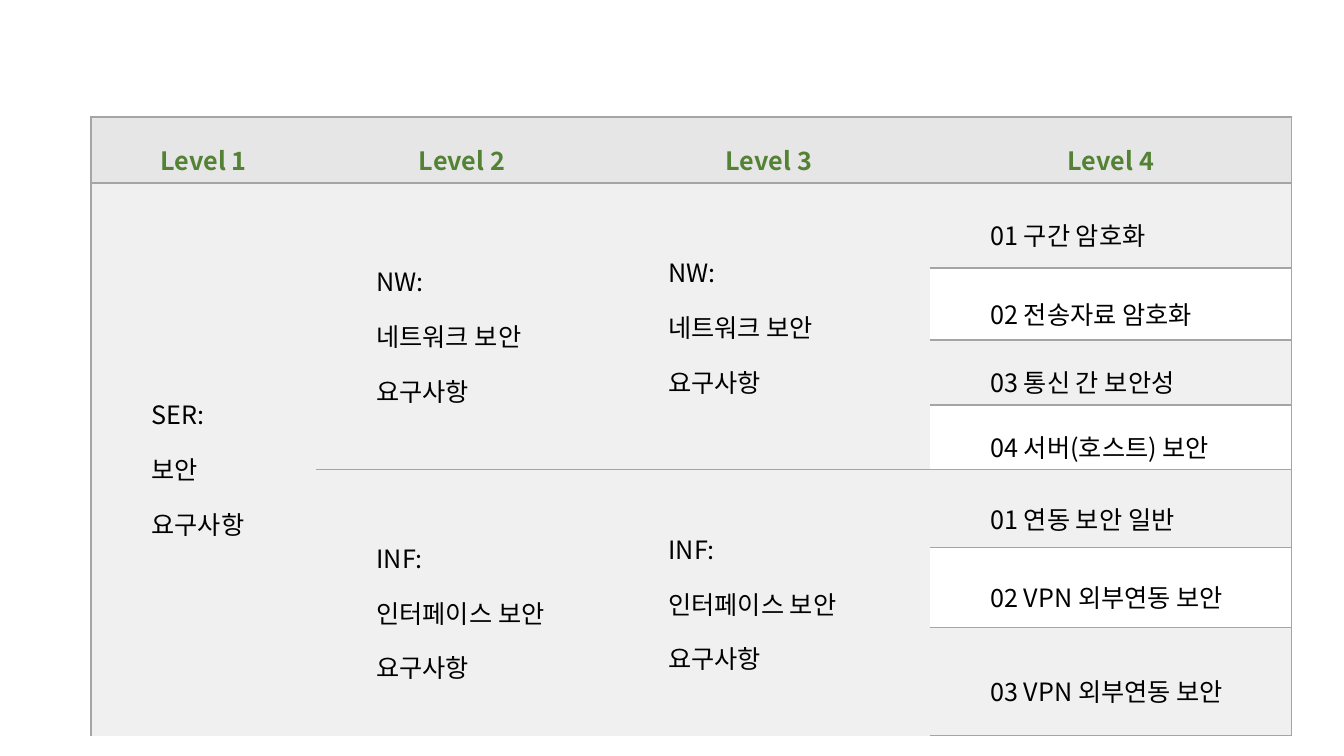
from pptx import Presentation, util as u
from pptx.dml.color import RGBColor
from pptx.enum import text
from pptx.oxml import ns
from lxml import etree

FONT = "Noto Sans CJK KR"
GREEN, BLACK, LINE = "548235", "000000", "A5A5A5"
HEAD, GREY, WHITE = "E7E6E6", "F0F0F0", "FFFFFF"

COLS = [225, 292, 322, 362]
ROWS = [66, 85, 72, 65, 65, 78, 80, 108]
NEED = "요구사항"
NET = ["NW:", "네트워크 보안", NEED]
INF = ["INF:", "인터페이스 보안", NEED]
# row, column, row span, lines, extra bottom margin
GROUPS = [
    (1, 0, 7, ["SER:", "보안", NEED], 0),
    (1, 1, 4, NET, 0),
    (1, 2, 4, NET, 18),
    (5, 1, 3, INF, 0),
    (5, 2, 3, INF, 18),
]
ITEMS = [
    "01 구간 암호화", "02 전송자료 암호화", "03 통신 간 보안성", "04 서버(호스트) 보안",
    "01 연동 보안 일반", "02 VPN 외부연동 보안", "03 VPN 외부연동 보안",
]
SHADES = [GREY, WHITE, GREY, WHITE, GREY, WHITE, GREY]


def px(n):
    return u.Emu(round(n * 914400 / 100.8))


def color(code):
    return RGBColor.from_string(code)


class Deck:
    def __init__(self, wide, high):
        self.prs = Presentation()
        self.prs.slide_width, self.prs.slide_height = px(wide), px(high)
        self.slide = self.prs.slides.add_slide(self.prs.slide_layouts[6])

    def table(self, left, top, cols, rows):
        frame = self.slide.shapes.add_table(
            len(rows), len(cols), px(left), px(top), px(sum(cols)), px(sum(rows)))
        grid = frame.table
        grid.first_row = grid.horz_banding = False
        for col, wide in zip(grid.columns, cols):
            col.width = px(wide)
        for row, high in zip(grid.rows, rows):
            row.height = px(high)
        return grid

    def edges(self, cell, sides):
        """Draw the sides named among L, R, T and B; clear the others."""
        props = cell._tc.get_or_add_tcPr()
        for side in "LRTB":
            line = etree.SubElement(props, ns.qn("a:ln" + side), w=str(u.Pt(1)))
            if side in sides:
                fill = etree.SubElement(line, ns.qn("a:solidFill"))
                etree.SubElement(fill, ns.qn("a:srgbClr"), val=LINE)
            else:
                etree.SubElement(line, ns.qn("a:noFill"))

    def paint(self, cell, code):
        cell.fill.solid()
        cell.fill.fore_color.rgb = color(code)

    def label(self, cell, lines, head=False):
        cell.vertical_anchor = text.MSO_ANCHOR.MIDDLE
        frame = cell.text_frame
        for i, words in enumerate(lines):
            para = frame.add_paragraph() if i else frame.paragraphs[0]
            para.line_spacing = 1.5
            if head:
                para.alignment = text.PP_ALIGN.CENTER
            else:
                para.alignment = text.PP_ALIGN.LEFT
                para.level = 1
                props = para._p.get_or_add_pPr()
                props.set("marL", str(u.Inches(0.5)))
                props.set("indent", "0")
            run = para.add_run()
            run.text = words
            font = run.font
            font.name, font.size, font.bold = FONT, u.Pt(18), head
            font.color.rgb = color(GREEN if head else BLACK)
            etree.SubElement(run._r.get_or_add_rPr(), ns.qn("a:ea"), typeface=FONT)


def main():
    deck = Deck(1344, 756)
    grid = deck.table(91, 117, COLS, ROWS)
    last = len(COLS) - 1

    inner = {(row + i, col): (i, span)
             for row, col, span, _, _ in GROUPS for i in range(span)}
    for r in range(len(ROWS)):
        for c in range(len(COLS)):
            i, span = inner.get((r, c), (0, 1))
            sides = "L" * (c == 0) + "R" * (c == last)
            sides += "T" * (i == 0) + "B" * (i == span - 1)
            cell = grid.cell(r, c)
            deck.edges(cell, sides)
            shade = SHADES[r - 1] if c == last else GREY
            deck.paint(cell, shade if r else HEAD)

    for c in range(len(COLS)):
        deck.label(grid.cell(0, c), [f"Level {c + 1}"], head=True)
    for row, col, span, lines, extra in GROUPS:
        cell = grid.cell(row, col)
        cell.merge(grid.cell(row + span - 1, col))
        cell.margin_bottom = px(5 + extra)
        deck.label(cell, lines)
    for r, item in enumerate(ITEMS, 1):
        deck.label(grid.cell(r, last), [item])

    deck.prs.save("out.pptx")


if __name__ == "__main__":
    main()
